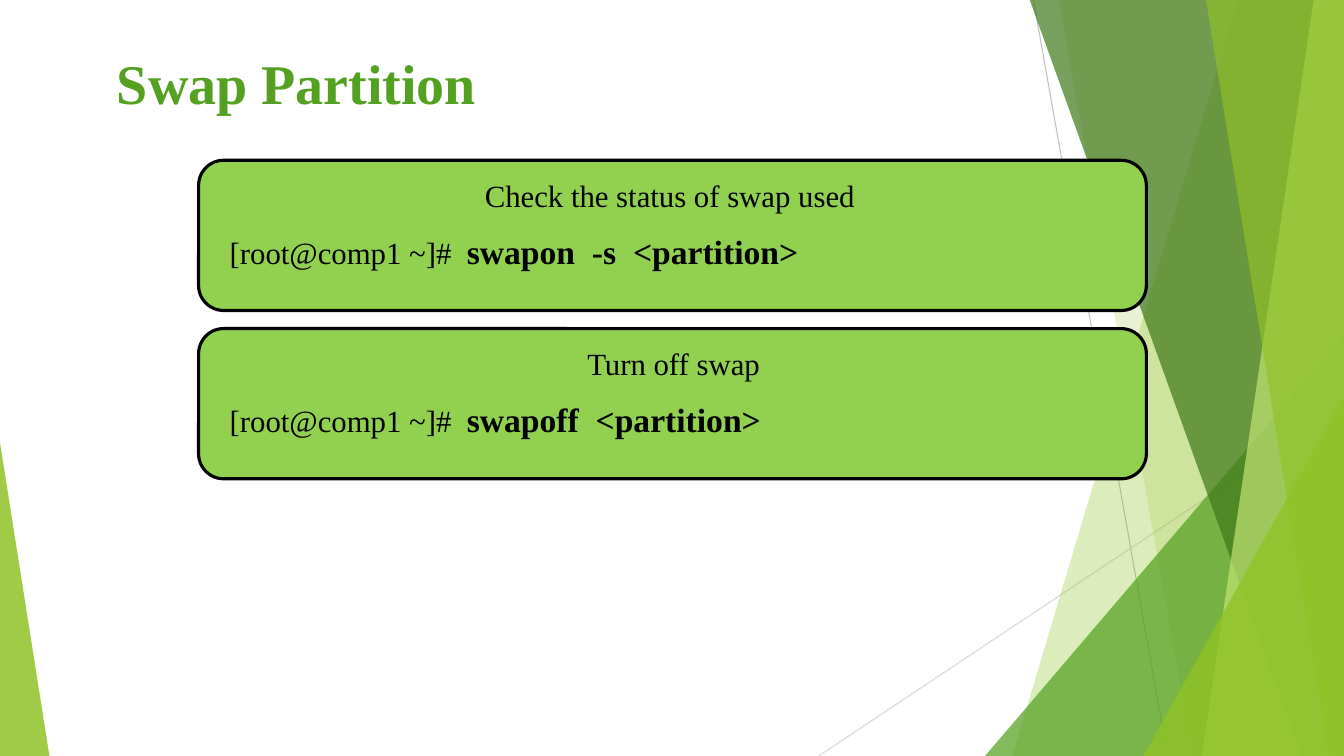
import pptx
import pptx.dml.color
import pptx.enum.shapes
import pptx.enum.text
import pptx.oxml
import pptx.oxml.ns
import pptx.util
from pptx.util import Inches

GREEN, LEAF, DARK, PALE, CARD = "90C226", "54A021", "3F7819", "C0E474", "92D050"
WIDTH, HEIGHT = 13.33, 7.5
Shapes = pptx.enum.shapes.MSO_SHAPE
Align = pptx.enum.text.PP_ALIGN


def colour(value):
    return pptx.dml.color.RGBColor.from_string(value)


class SlideBuilder:
    font_name = "Times New Roman"

    def __init__(self, slide):
        self.slide = slide

    def paint(self, shape, fill, opacity=100, line=None, line_width=2.25):
        shape.shadow.inherit = False
        shape.fill.solid()
        shape.fill.fore_color.rgb = colour(fill)
        if opacity < 100:
            alpha = pptx.oxml.parse_xml(
                f'<a:alpha {pptx.oxml.ns.nsdecls("a")} val="{opacity * 1000}"/>')
            shape._element.spPr.xpath("a:solidFill/a:srgbClr")[0].append(alpha)
        if line:
            shape.line.color.rgb = colour(line)
            shape.line.width = pptx.util.Pt(line_width)
        else:
            shape.line.fill.background()

    def text_run(self, paragraph, text, size, text_colour="000000", bold=False):
        run = paragraph.add_run()
        run.text = text
        style = {"name": self.font_name, "size": pptx.util.Pt(size), "bold": bold}
        for attribute, value in style.items():
            setattr(run.font, attribute, value)
        run.font.color.rgb = colour(text_colour)

    def title(self, text, box):
        shape = self.slide.shapes.title
        for attribute, value in zip(("left", "top", "width", "height"), box):
            setattr(shape, attribute, Inches(value))
        frame = shape.text_frame
        frame.vertical_anchor = pptx.enum.text.MSO_ANCHOR.MIDDLE
        frame.paragraphs[0].alignment = Align.LEFT
        self.text_run(frame.paragraphs[0], text, 40, LEAF, True)

    def line(self, start, end, line_colour):
        connector = self.slide.shapes.add_connector(
            pptx.enum.shapes.MSO_CONNECTOR.STRAIGHT, *map(Inches, start + end))
        connector.line.color.rgb = colour(line_colour)
        connector.line.width = pptx.util.Pt(0.75)
        connector._element.spPr.append(pptx.oxml.parse_xml(
            f'<a:effectLst {pptx.oxml.ns.nsdecls("a")}/>'))

    def band(self, top_left, bottom_left, fill, opacity):
        corners = [(WIDTH, -0.01), (WIDTH, HEIGHT), (bottom_left, HEIGHT)]
        builder = self.slide.shapes.build_freeform(Inches(top_left), Inches(-0.01))
        builder.add_line_segments([(Inches(x), Inches(y)) for x, y in corners])
        self.paint(builder.convert_to_shape(), fill, opacity)

    def preset(self, kind, box, adjustment, fill, opacity=100, line=None):
        shape = self.slide.shapes.add_shape(kind, *map(Inches, box))
        shape.adjustments[0] = adjustment
        self.paint(shape, fill, opacity, line)

    def text_box(self, box, runs, alignment, line_spacing=None):
        shape = self.slide.shapes.add_textbox(*map(Inches, box))
        self.paint(shape, CARD)
        shape.text_frame.word_wrap = True
        paragraph = shape.text_frame.paragraphs[0]
        paragraph.alignment = alignment
        if line_spacing:
            paragraph.line_spacing = pptx.util.Pt(line_spacing)
        for run in runs:
            self.text_run(paragraph, *run)

    def command_card(self, top, caption, command):
        self.preset(Shapes.ROUNDED_RECTANGLE, (1.97, top, 9.4, 1.49), 0.1667, CARD, line="000000")
        self.text_box((2.17, top + 0.11, 9.02, 0.47), [(caption, 22)], Align.CENTER)
        prompt = ("[root@comp1 ~]#  ", 22)
        self.text_box((2.18, top + 0.63, 9.02, 0.52),
                      [prompt, (command, 24, "000000", True)], Align.LEFT, 30)


def main():
    presentation = pptx.Presentation()
    presentation.slide_width = Inches(WIDTH)
    presentation.slide_height = Inches(HEIGHT)
    builder = SlideBuilder(presentation.slides.add_slide(presentation.slide_layouts[5]))

    builder.line((10.25, 0), (11.58, HEIGHT), "BFBFBF")
    builder.line((WIDTH, 4.03), (8.12, HEIGHT), "D9D9D9")
    builder.band(12.28, 10.04, GREEN, 30)
    builder.band(10.5, 11.83, GREEN, 20)
    builder.preset(Shapes.ISOSCELES_TRIANGLE, (9.77, 3.33, 3.56, 4.17), 1, LEAF, 72)
    builder.band(10.21, 12.91, DARK, 70)
    builder.band(13.03, 11.92, PALE, 70)
    builder.band(11.96, 13.18, GREEN, 65)
    builder.preset(Shapes.ISOSCELES_TRIANGLE, (11.34, 3.93, 1.99, 3.57), 1, GREEN, 80)
    builder.preset(Shapes.ISOSCELES_TRIANGLE, (0, 4.39, 0.49, 3.11), 0, GREEN, 85)

    builder.title("Swap Partition", (1.06, 0.42, 6.67, 0.78))
    cards = [("Check the status of swap used ", "swapon  -s  <partition>"),
             ("Turn off swap", "swapoff  <partition>")]
    for index, (caption, command) in enumerate(cards):
        builder.command_card(1.59 + index * 1.67, caption, command)

    presentation.save("out.pptx")


if __name__ == "__main__":
    main()
